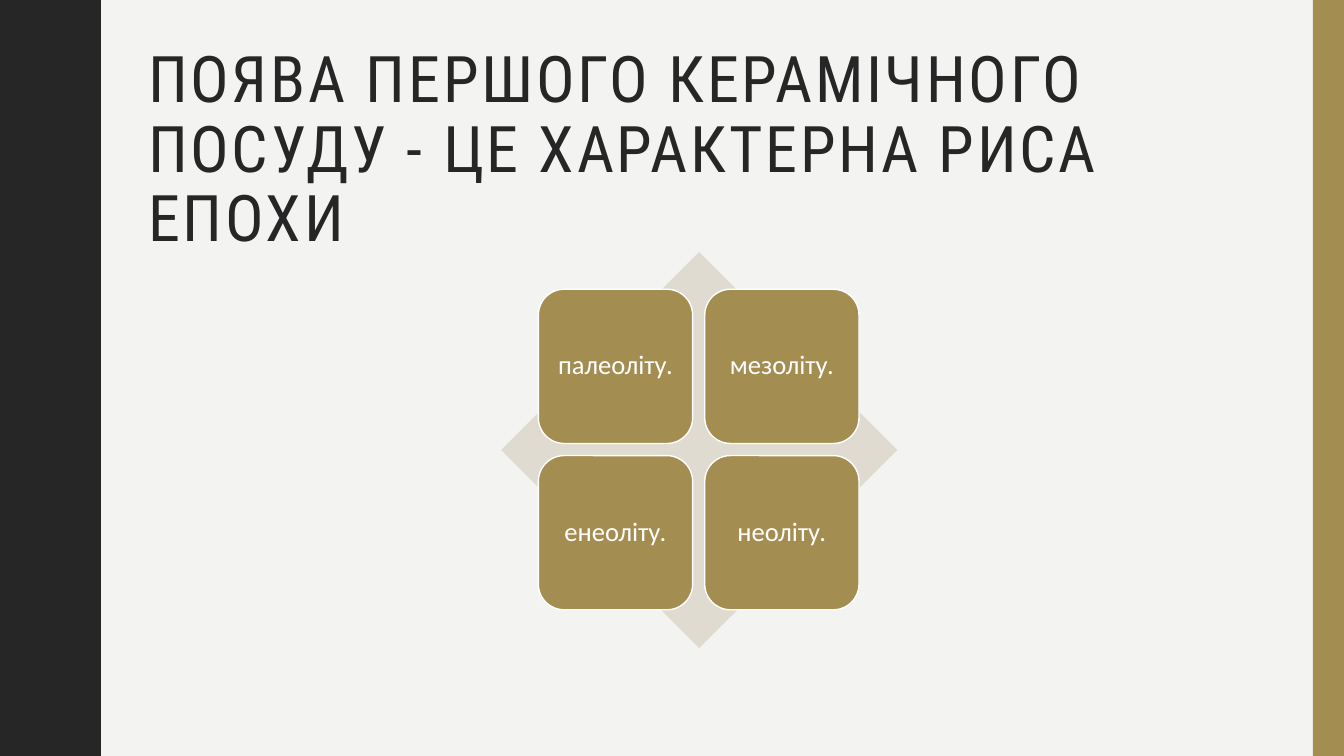
"""Builds the quiz slide about the epoch in which the first pottery appeared."""
from pptx import Presentation
from pptx.dml.color import RGBColor
from pptx.enum.shapes import MSO_SHAPE as Shape
from pptx.enum.text import MSO_ANCHOR as Anchor, PP_ALIGN as Align
from pptx.util import Inches, Pt

COLORS = {"paper": "F3F3F2", "dark": "262626", "gold": "A38D51",
          "sand": "E0DBD0", "white": "FFFFFF"}


def paint(shape, color):
    shape.shadow.inherit = False
    shape.fill.solid()
    shape.fill.fore_color.rgb = RGBColor.from_string(COLORS[color])
    shape.line.fill.background()


def write(shape, text, font_name, size, color, align, **frame_format):
    frame = shape.text_frame
    frame.word_wrap = True
    for name, value in frame_format.items():
        setattr(frame, name, value)
    paragraph = frame.paragraphs[0]
    paragraph.alignment = align
    paragraph.line_spacing = 0.9
    run = paragraph.add_run()
    run.text = text
    run.font.name = font_name
    run.font.size = Pt(size)
    run.font.color.rgb = RGBColor.from_string(COLORS[color])
    return run


prs = Presentation()
prs.slide_width, prs.slide_height = Inches(13.33), Inches(7.5)
slide = prs.slides.add_slide(prs.slide_layouts[6])
slide.background.fill.solid()
slide.background.fill.fore_color.rgb = RGBColor.from_string(COLORS["paper"])
shapes = slide.shapes

wave_period = 1.5
half_wave = [(0.78, 0), (0.78, 0.07), (0.79, 0.14), (0.8, 0.2), (0.81, 0.25),
             (0.83, 0.29), (0.85, 0.33), (0.87, 0.38), (0.89, 0.42), (0.91, 0.46),
             (0.93, 0.5), (0.95, 0.55), (0.96, 0.61), (0.97, 0.68), (0.97, 0.75)]
full_wave = half_wave + [(x, wave_period - y) for x, y in half_wave[-2::-1]]
wavy_edge = [(x, y + wave_period * i) for i in range(5) for x, y in full_wave]
outline = shapes.build_freeform(0, 0, scale=Inches(1))
outline.add_line_segments(wavy_edge + [(0, 7.5)], close=True)
paint(outline.convert_to_shape(), "dark")

right_band = shapes.add_shape(Shape.RECTANGLE, Inches(13.02), 0, Inches(0.31), Inches(7.5))
paint(right_band, "gold")

question = shapes.add_textbox(Inches(1.37), Inches(0.42), Inches(11.13), Inches(1.63))
question_run = write(question, "ПОЯВА ПЕРШОГО КЕРАМІЧНОГО ПОСУДУ - ЦЕ ХАРАКТЕРНА РИСА ЕПОХИ",
                     "Roboto Condensed", 45.9, "dark", Align.LEFT, vertical_anchor=Anchor.TOP)
question_run.font._element.set("spc", "200")

diamond = shapes.add_shape(Shape.DIAMOND, Inches(4.97), Inches(2.5), Inches(3.93), Inches(3.93))
paint(diamond, "sand")

tile_size, tile_step = 1.53, 1.65
epochs = ["палеоліту.", "мезоліту.", "енеоліту.", "неоліту."]
for i, epoch in enumerate(epochs):
    row, column = divmod(i, 2)
    tile = shapes.add_shape(Shape.ROUNDED_RECTANGLE,
                            Inches(5.34 + column * tile_step), Inches(2.87 + row * tile_step),
                            Inches(tile_size), Inches(tile_size))
    paint(tile, "gold")
    tile.line.color.rgb = RGBColor.from_string(COLORS["white"])
    tile.line.width = Pt(1)
    write(tile, epoch, "Calibri", 19, "white", Align.CENTER, vertical_anchor=Anchor.MIDDLE,
          margin_left=Inches(0.08), margin_right=Inches(0.08),
          margin_top=Inches(0.08), margin_bottom=Inches(0.08))

prs.save("out.pptx")
